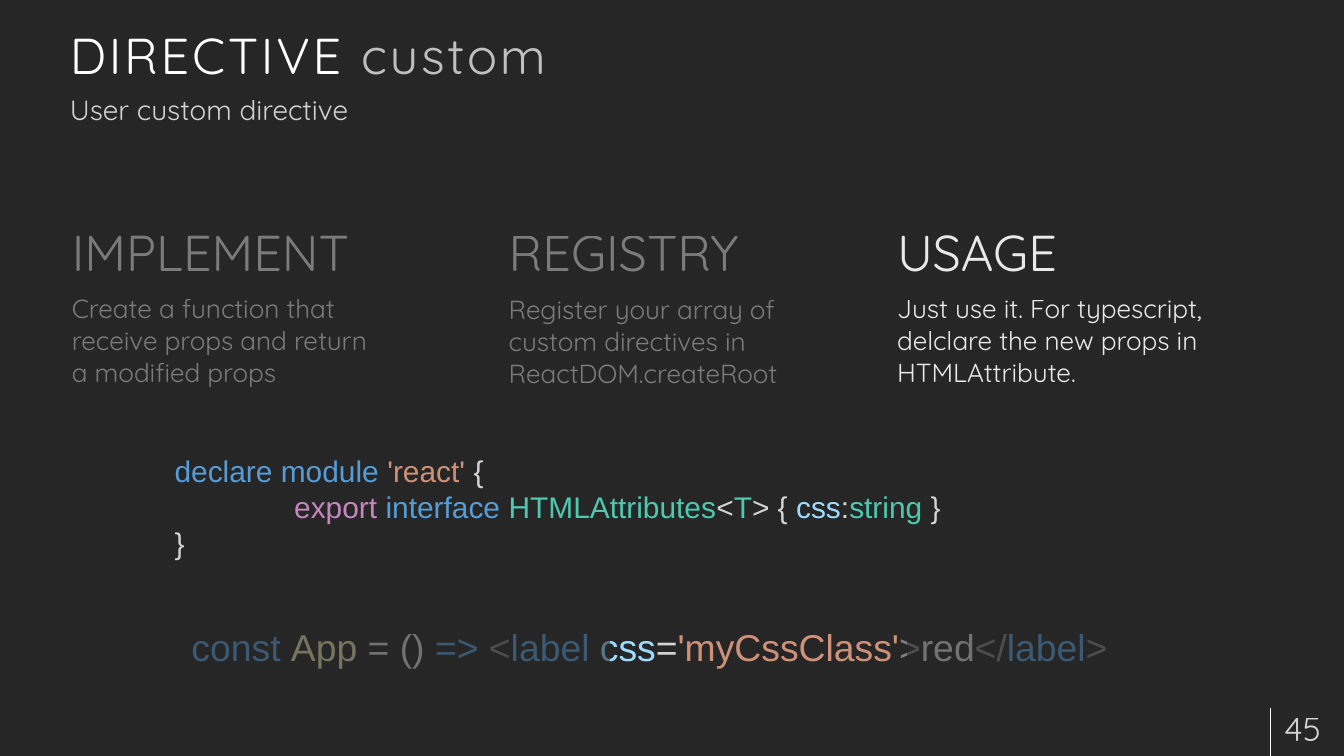
"""Build the slide on using a custom directive, with its three steps and code samples."""
from lxml.etree import SubElement
from pptx import Presentation
from pptx.dml.color import RGBColor
from pptx.enum.shapes import MSO_CONNECTOR as Connector, MSO_SHAPE as Shape
from pptx.enum.text import MSO_ANCHOR as Anchor, MSO_AUTO_SIZE as AutoSize, PP_ALIGN as Align
from pptx.oxml.ns import qn
from pptx.util import Inches, Pt

COLORS = {
    "background": "262626", "white": "FFFFFF", "muted": "BFBFBF",
    "keyword": "569CD6", "function": "DCDCAA", "plain": "D4D4D4",
    "bracket": "808080", "property": "9CDCFE", "string": "CE9178",
    "export": "C586C0", "type": "4EC9B0",
}
COLUMNS, ROWS = 20, 11.25


def paint(fill, name, opacity=100):
    fill.solid()
    fill.fore_color.rgb = RGBColor.from_string(COLORS[name])
    if opacity < 100:
        color = fill._xPr.find(qn("a:solidFill"))[0]
        SubElement(color, qn("a:alpha"), val=str(opacity * 1000))


def fill_frame(shape, lines, size, font="Quicksand", opacity=100, inset=(0.18, 0.09), anchor=Anchor.TOP):
    frame = shape.text_frame
    frame.word_wrap, frame.auto_size, frame.vertical_anchor = True, AutoSize.NONE, anchor
    frame.margin_left = frame.margin_right = Inches(inset[0])
    frame.margin_top = frame.margin_bottom = Inches(inset[1])
    for index, line in enumerate(lines):
        paragraph = frame.paragraphs[0] if index == 0 else frame.add_paragraph()
        paragraph.alignment = Align.LEFT
        paragraph.font.name, paragraph.font.size = font, Pt(size)
        if len({name for _, name in line}) == 1:
            paint(paragraph.font.fill, line[0][1], opacity)
        for text, name in line:
            run = paragraph.add_run()
            run.text = text
            if len(line) > 1:
                paint(run.font.fill, name, opacity)
    return frame.paragraphs


presentation = Presentation()
presentation.slide_width, presentation.slide_height = Inches(COLUMNS), Inches(ROWS)
column, row = presentation.slide_width / COLUMNS, presentation.slide_height / ROWS
slide = presentation.slides.add_slide(presentation.slide_layouts[5])
paint(slide.background.fill, "background")
shapes = slide.shapes

divider = shapes.add_connector(Connector.STRAIGHT, int(18.9 * column), int(10.54 * row),
                               int(18.9 * column), int(ROWS * row))
paint(divider.line.fill, "white")
divider.line.width = Pt(0.75)
SubElement(divider._element.spPr, qn("a:effectLst"))

number = shapes.add_textbox(int(18.93 * column), int(10.54 * row), int(1.15 * column), int(0.6 * row))
fill_frame(number, [[("45", "white")]], 36, opacity=80, anchor=Anchor.MIDDLE)

title = shapes.title
title.left, title.top, title.width, title.height = int(0.86 * column), 0, int(18 * column), int(1.35 * row)
heading = fill_frame(title, [[("DIRECTIVE ", "white"), ("custom", "muted")]], 54, anchor=Anchor.BOTTOM)
for run in heading[0].runs:
    run.font._element.set("spc", "300")

subtitle = shapes.add_textbox(int(0.86 * column), int(1.29 * row), int(17.8 * column), int(0.63 * row))
fill_frame(subtitle, [[("User custom directive", "white")]], 30, opacity=80)

steps = [
    (0.89, 2.88, 4.86, "IMPLEMENT", "Create a function that receive props and return a modified props"),
    (7.39, 2.89, 5.25, "REGISTRY", "Register your array of custom directives in ReactDOM.createRoot"),
    (13.17, 2.88, 5.25, "USAGE", "Just use it. For typescript, delclare the new props in HTMLAttribute."),
]
for left, top, width, name, description in steps:
    step = shapes.add_textbox(int(left * column), int(top * row), int(width * column), int(3.72 * row))
    lines = [[(name, "white")], [(description, "white")]]
    paragraphs = fill_frame(step, lines, 54, opacity=90, anchor=Anchor.MIDDLE)
    paragraphs[1].font.size = Pt(28)
    for paragraph in paragraphs:
        paragraph.line_spacing, paragraph.space_after = Pt(34), Pt(12)

usage_code = [[
    ("const ", "keyword"), ("App", "function"), (" = () ", "plain"), ("=> ", "keyword"),
    ("<", "bracket"), ("label ", "keyword"), ("css", "property"), ("=", "plain"),
    ("'myCssClass'", "string"), (">", "bracket"), ("red", "plain"), ("</", "bracket"),
    ("label", "keyword"), (">", "bracket"),
]]
usage = shapes.add_textbox(int(1.25 * column), int(9.24 * row), int(16.83 * column), int(0.77 * row))
fill_frame(usage, usage_code, 40, "Arial", inset=(0.1, 0.05))[0].alignment = Align.CENTER

module_code = [
    [("declare module ", "keyword"), ("'react'", "string"), (" {", "plain")],
    [("\t", "plain"), ("export ", "export"), ("interface ", "keyword"), ("HTMLAttributes", "type"),
     ("<", "plain"), ("T", "type"), ("> { ", "plain"), ("css", "property"), (":", "plain"),
     ("string ", "type"), ("}", "plain")],
    [("}", "plain")],
]
module = shapes.add_textbox(int(2.5 * column), int(6.69 * row), int(13.83 * column), int(1.72 * row))
indented = fill_frame(module, module_code, 32, "Arial", inset=(0.1, 0.05))[1]
properties = indented._p.get_or_add_pPr()
tab_list = properties.makeelement(qn("a:tabLst"), {})
SubElement(tab_list, qn("a:tab"), pos=str(Inches(1.78)), algn="l")
properties.find(qn("a:defRPr")).addprevious(tab_list)

for left, top, width, height in [(1.25, 9.12, 7.83, 1.3), (13.5, 8.72, 3.75, 1.3), (0.86, 3.01, 11.14, 2.97)]:
    veil = shapes.add_shape(Shape.RECTANGLE, int(left * column), int(top * row),
                            int(width * column), int(height * row))
    veil.shadow.inherit = False
    paint(veil.fill, "background", 56)
    veil.line.fill.background()

presentation.save("out.pptx")
